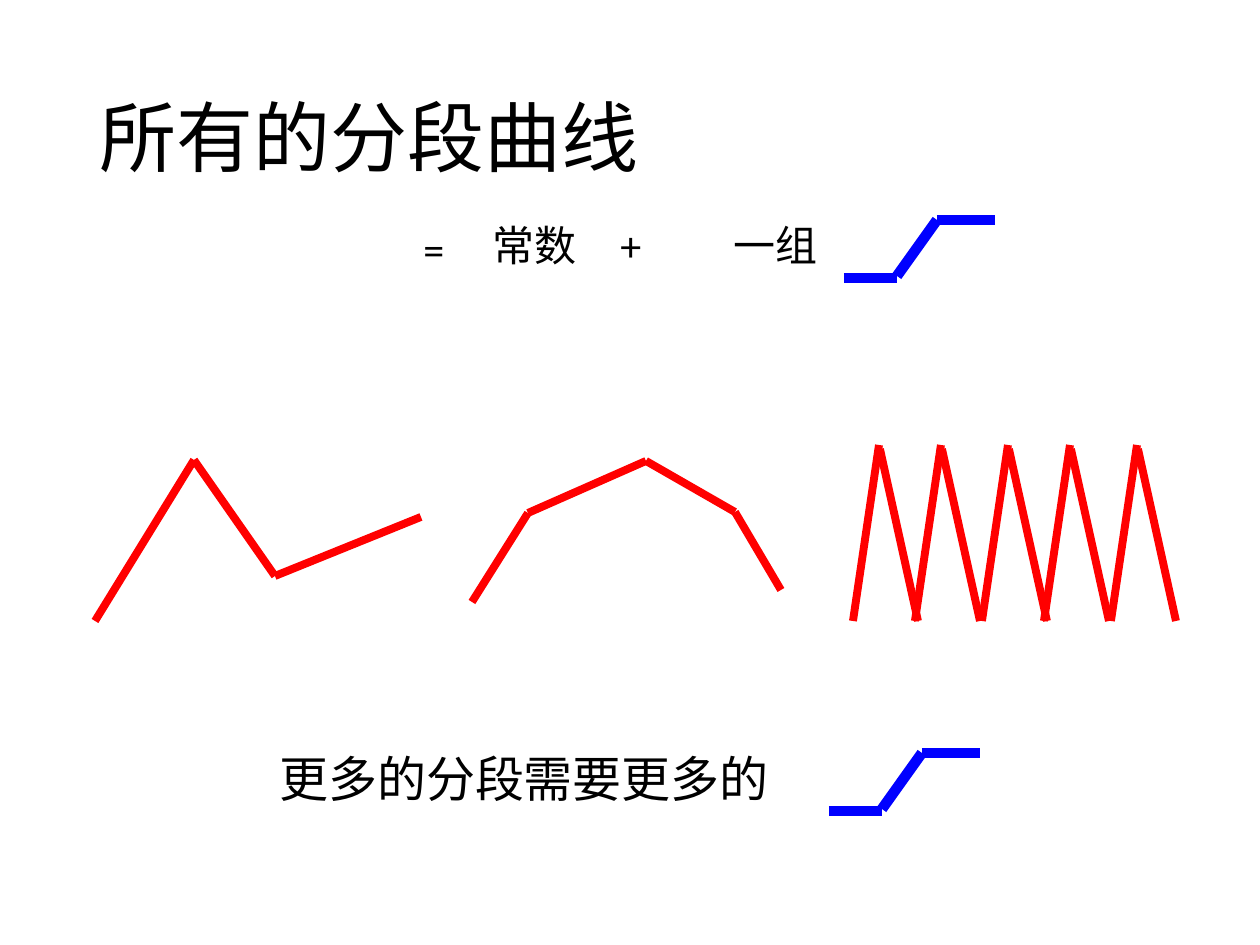
from typing import NamedTuple

import pptx
import pptx.dml.color
import pptx.enum.shapes
import pptx.enum.text
import pptx.oxml
import pptx.oxml.ns
import pptx.slide
import pptx.util

PX = 914400 // 126
FONT = "Calibri"
BLACK = pptx.dml.color.RGBColor(0x00, 0x00, 0x00)
RED = pptx.dml.color.RGBColor(0xFF, 0x00, 0x00)
BLUE = pptx.dml.color.RGBColor(0x00, 0x00, 0xFF)


class Label(NamedTuple):
    text: str
    left: int
    top: int
    width: int
    height: int
    size: int
    wrap: bool = True
    spacing: float = 1.0
    anchor: pptx.enum.text.MSO_ANCHOR = pptx.enum.text.MSO_ANCHOR.TOP
    tab: int = 0


class Segment(NamedTuple):
    x1: int
    y1: int
    x2: int
    y2: int


class Curve(NamedTuple):
    segments: list[Segment]
    color: pptx.dml.color.RGBColor
    weight: float


def polyline(*points: tuple[int, int]) -> list[Segment]:
    return [Segment(*a, *b) for a, b in zip(points, points[1:])]


def step(x: int, y: int) -> Curve:
    """Step that starts low at (x, y) and rises to a plateau."""
    return Curve([
        Segment(x, y, x + 53, y),
        Segment(x + 53, y - 2, x + 93, y - 58),
        Segment(x + 93, y - 58, x + 151, y - 58),
    ], BLUE, 6)


def zigzag(left: int, bottom: int, teeth: int) -> Curve:
    """Sharp teeth; every second one sits slightly closer to its neighbour."""
    segments = []
    for i in range(teeth):
        x = left + 129 * (i // 2) + 62 * (i % 2)
        segments.append(Segment(x, bottom, x + 26, bottom - 176))
        segments.append(Segment(x + 65, bottom, x + 27, bottom - 172))
    return Curve(segments, RED, 4.5)


LABELS = [
    Label("所有的分段曲线", 87, 50, 1086, 183, 44, spacing=0.9,
          anchor=pptx.enum.text.MSO_ANCHOR.MIDDLE),
    Label("=", 411, 217, 62, 63, 24),
    Label("常数\t+", 480, 213, 194, 63, 24, tab=128),
    Label("一组", 721, 213, 123, 63, 24),
    Label("更多的分段需要更多的", 267, 742, 527, 72, 28, wrap=False),
]

CURVES = [
    step(844, 278),
    Curve(polyline((95, 621), (194, 460), (275, 576), (421, 517)), RED, 4.5),
    Curve(polyline((472, 602), (528, 513), (646, 461), (735, 512), (781, 590)),
          RED, 4.5),
    zigzag(853, 621, 5),
    step(829, 811),
]


def draw_label(slide: pptx.slide.Slide, label: Label) -> None:
    s = slide.shapes.add_textbox(label.left * PX, label.top * PX,
                                 label.width * PX, label.height * PX)
    tf = s.text_frame
    tf.word_wrap = label.wrap
    tf.vertical_anchor = label.anchor
    p = tf.paragraphs[0]
    p.line_spacing = label.spacing
    if label.tab:
        tabs = pptx.oxml.parse_xml(
            f'<a:tabLst {pptx.oxml.ns.nsdecls("a")}>'
            f'<a:tab pos="{label.tab * PX}" algn="l"/></a:tabLst>')
        p._p.get_or_add_pPr().append(tabs)
    r = p.add_run()
    r.text = label.text
    r.font.name = FONT
    r.font.size = pptx.util.Pt(label.size)
    r.font.color.rgb = BLACK


def draw_curve(slide: pptx.slide.Slide, curve: Curve) -> None:
    group = slide.shapes.add_group_shape()
    for segment in curve.segments:
        s = group.shapes.add_connector(
            pptx.enum.shapes.MSO_CONNECTOR.STRAIGHT,
            *(value * PX for value in segment))
        s.line.color.rgb = curve.color
        s.line.width = pptx.util.Pt(curve.weight)
        s._element.spPr.append(
            pptx.oxml.parse_xml(f'<a:effectLst {pptx.oxml.ns.nsdecls("a")}/>'))


def main() -> None:
    prs = pptx.Presentation()
    prs.slide_width = pptx.util.Inches(10)
    prs.slide_height = pptx.util.Inches(7.5)
    slide = prs.slides.add_slide(prs.slide_layouts[6])
    for label in LABELS:
        draw_label(slide, label)
    for curve in CURVES:
        draw_curve(slide, curve)
    prs.save("out.pptx")


if __name__ == "__main__":
    main()
